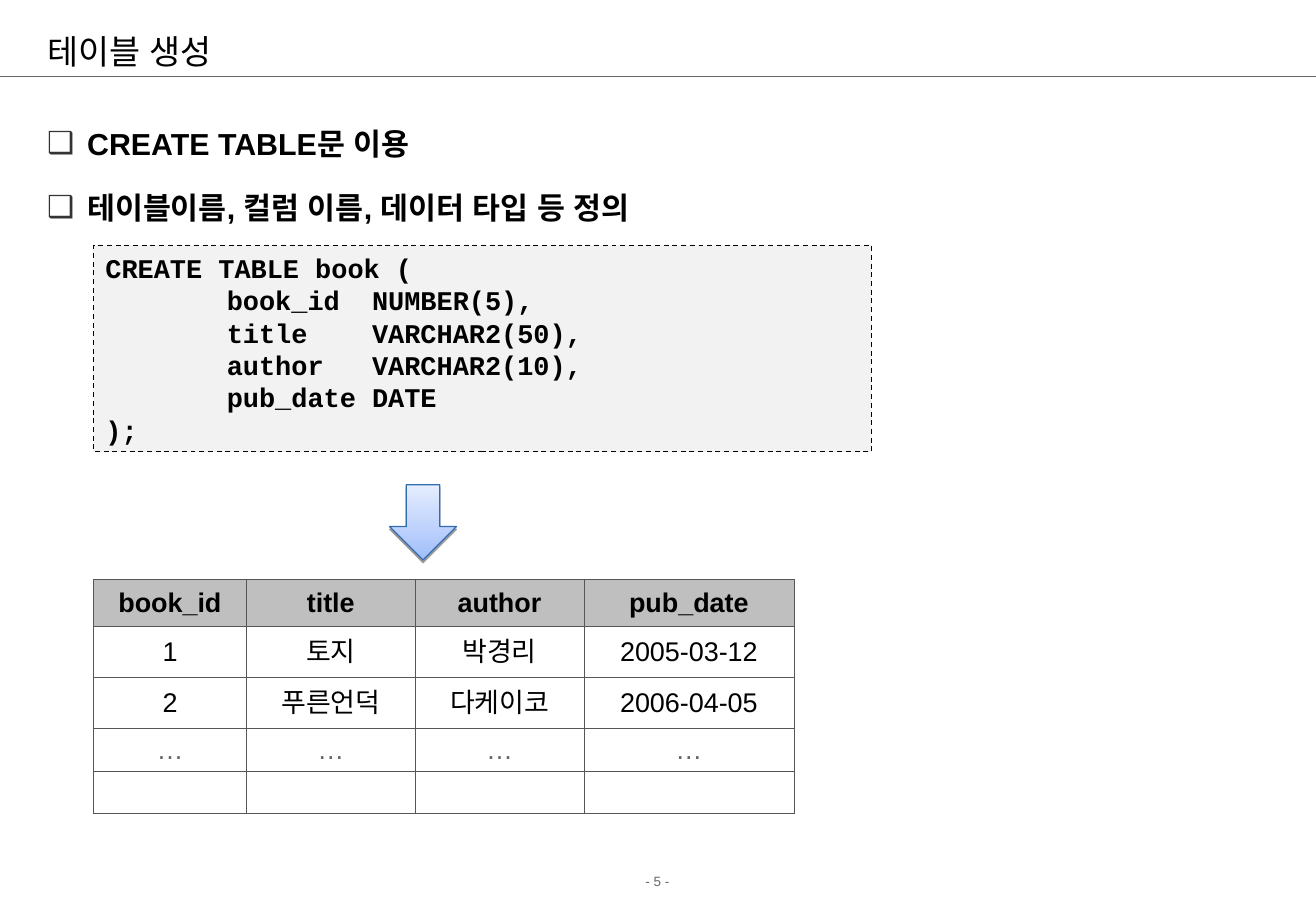
from lxml import etree
from pptx import Presentation
from pptx.dml.color import RGBColor
from pptx.enum.dml import MSO_LINE
from pptx.enum.shapes import MSO_CONNECTOR, MSO_SHAPE
from pptx.enum.text import MSO_ANCHOR, PP_ALIGN
from pptx.oxml.ns import qn
from pptx.util import Inches, Pt

LEFT, CENTER = PP_ALIGN.LEFT, PP_ALIGN.CENTER
TOP, MIDDLE = MSO_ANCHOR.TOP, MSO_ANCHOR.MIDDLE
RECTANGLE, DOWN_ARROW = MSO_SHAPE.RECTANGLE, MSO_SHAPE.DOWN_ARROW
STRAIGHT, DASH = MSO_CONNECTOR.STRAIGHT, MSO_LINE.DASH

BLACK, GRAY, BORDER = "000000", "666666", "565656"
TITLE_FONT = {"name": "Montserrat", "size": Pt(20)}
BODY_FONT = {"name": "Arial", "size": Pt(18), "bold": True}
CODE_FONT = {"name": "Courier New", "size": Pt(16), "bold": True}
CELL_FONT = {"name": "Arial", "size": Pt(16), "bold": False}
HEADER_FONT = {**CELL_FONT, "bold": True}
PAGE_FONT = {"name": "Arial", "size": Pt(8)}

TOPICS = ["CREATE TABLE문 이용", "테이블이름, 컬럼 이름, 데이터 타입 등 정의"]
CODE = [
    "CREATE TABLE book (",
    "\tbook_id  NUMBER(5),",
    "\ttitle    VARCHAR2(50),",
    "\tauthor   VARCHAR2(10),",
    "\tpub_date DATE",
    ");",
]
BOOKS = [
    ["book_id", "title", "author", "pub_date"],
    ["1", "토지", "박경리", "2005-03-12"],
    ["2", "푸른언덕", "다케이코", "2006-04-05"],
    ["…"] * 4,
    [""] * 4,
]
COLUMN_WIDTHS = [1.26, 1.39, 1.39, 1.73]
ROW_HEIGHTS = [0.39, 0.42, 0.42, 0.35, 0.35]


def rgb(color):
    return RGBColor.from_string(color)


def add_xml(parent, tag, **attributes):
    return etree.SubElement(parent, qn(tag), attributes)


def set_line(line, color, width):
    line.color.rgb = rgb(color)
    line.width = Pt(width)


def write_lines(frame, lines, font, color=BLACK, align=LEFT, **spacing):
    """Write one paragraph per line, with the same format for Latin and Korean."""
    for index, line in enumerate(lines):
        para = frame.paragraphs[0] if index == 0 else frame.add_paragraph()
        para.alignment = align
        for name, value in spacing.items():
            setattr(para, name, value)
        if not line:
            add_xml(para._p, "a:endParaRPr", sz=str(int(font["size"].pt * 100)))
            continue
        span = para.add_run()
        span.text = line
        for name, value in font.items():
            setattr(span.font, name, value)
        span.font.color.rgb = rgb(color)
        add_xml(span._r.get_or_add_rPr(), "a:ea", typeface=font["name"])


def add_text(page, area, lines, font, anchor=TOP, **format_values):
    box = page.shapes.add_textbox(*map(Inches, area))
    box.text_frame.word_wrap = True
    box.text_frame.vertical_anchor = anchor
    write_lines(box.text_frame, lines, font, **format_values)
    return box


def add_bullets(box):
    for para in box.text_frame.paragraphs:
        properties = para._p.get_or_add_pPr()
        properties.set("marL", str(Inches(0.33)))
        properties.set("indent", str(-Inches(0.33)))
        add_xml(add_xml(properties, "a:buClr"), "a:srgbClr", val="333333")
        add_xml(properties, "a:buFont", typeface="Arial")
        add_xml(properties, "a:buChar", char="❑")


def add_tab_stop(box, position):
    for para in box.text_frame.paragraphs:
        stops = add_xml(para._p.get_or_add_pPr(), "a:tabLst")
        add_xml(stops, "a:tab", pos=str(Inches(position)), algn="l")


def add_rule(page, y, width):
    rule = page.shapes.add_connector(STRAIGHT, 0, Inches(y), width, Inches(y))
    set_line(rule.line, GRAY, 0.75)
    add_xml(rule._element.spPr, "a:effectLst")


def add_code_box(page, area, lines):
    box = page.shapes.add_shape(RECTANGLE, *map(Inches, area))
    box.shadow.inherit = False
    box.fill.solid()
    box.fill.fore_color.rgb = rgb("F2F2F2")
    set_line(box.line, BLACK, 0.75)
    box.line.dash_style = DASH
    box.text_frame.word_wrap = True
    box.text_frame.vertical_anchor = TOP
    write_lines(box.text_frame, lines, CODE_FONT)
    add_tab_stop(box, 1)


def add_down_arrow(page, area):
    arrow = page.shapes.add_shape(DOWN_ARROW, *map(Inches, area))
    arrow.fill.gradient()
    arrow.fill.gradient_angle = 90
    for stop, color in zip(arrow.fill.gradient_stops, ("A1BEFA", "E5EDFE")):
        stop.color.rgb = rgb(color)
    set_line(arrow.line, "346CB0", 0.75)
    arrow.shadow.inherit = False
    effects = arrow._element.spPr.find(qn("a:effectLst"))
    shadow = add_xml(effects, "a:outerShdw", blurRad="0", dist=str(Pt(1.6)),
                     dir="5400000", rotWithShape="0")
    shadow_color = add_xml(shadow, "a:srgbClr", val=BLACK)
    add_xml(shadow_color, "a:alpha", val="38000")


def add_borders(cell, row):
    """Draw thin borders, with a heavier one below the header row."""
    widths = {"L": 0.45, "R": 0.45,
              "T": 0.96 if row == 1 else 0.45,
              "B": 0.96 if row == 0 else 0.45}
    for side, width in widths.items():
        edge = add_xml(cell._tc.get_or_add_tcPr(), f"a:ln{side}", w=str(Pt(width)))
        add_xml(add_xml(edge, "a:solidFill"), "a:srgbClr", val=BORDER)


def fill_cell(cell, text, row):
    cell.margin_left = cell.margin_right = Inches(0.01)
    cell.margin_top = cell.margin_bottom = Inches(0.04)
    cell.vertical_anchor = MIDDLE
    add_borders(cell, row)
    if row == 0:
        cell.fill.solid()
        cell.fill.fore_color.rgb = rgb("BFBFBF")
    else:
        cell.fill.background()
    write_lines(cell.text_frame, [text], CELL_FONT if row else HEADER_FONT,
                color=GRAY if text == "…" else BLACK, align=CENTER)


def add_book_table(page, left, top):
    size = (sum(COLUMN_WIDTHS), sum(ROW_HEIGHTS))
    table = page.shapes.add_table(len(BOOKS), len(BOOKS[0]),
                                  *map(Inches, (left, top, *size))).table
    table.first_row = table.horz_banding = False
    for column, width in zip(table.columns, COLUMN_WIDTHS):
        column.width = Inches(width)
    for row, height in zip(table.rows, ROW_HEIGHTS):
        row.height = Inches(height)
    for row, texts in enumerate(BOOKS):
        for column, text in enumerate(texts):
            fill_cell(table.cell(row, column), text, row)


def main():
    deck = Presentation()
    deck.slide_width, deck.slide_height = Inches(10.84), Inches(7.5)
    page = deck.slides.add_slide(deck.slide_layouts[6])

    add_text(page, (0, 7.14, 10.83, 0.24), ["- 5 -"], PAGE_FONT, color=GRAY,
             align=CENTER, line_spacing=1.01, space_before=Pt(5))
    add_rule(page, 0.63, deck.slide_width)
    add_text(page, (0.29, 0.21, 10.17, 0.42), ["테이블 생성"], TITLE_FONT, anchor=MIDDLE)
    topics = add_text(page, (0.29, 0.83, 10.17, 5.75), TOPICS, BODY_FONT,
                      line_spacing=1.5, space_before=Pt(5.6))
    add_bullets(topics)
    add_book_table(page, 0.77, 4.77)
    add_code_box(page, (0.77, 2.02, 6.41, 1.7), CODE)
    add_down_arrow(page, (3.21, 3.99, 0.55, 0.62))
    deck.save("out.pptx")


if __name__ == "__main__":
    main()
